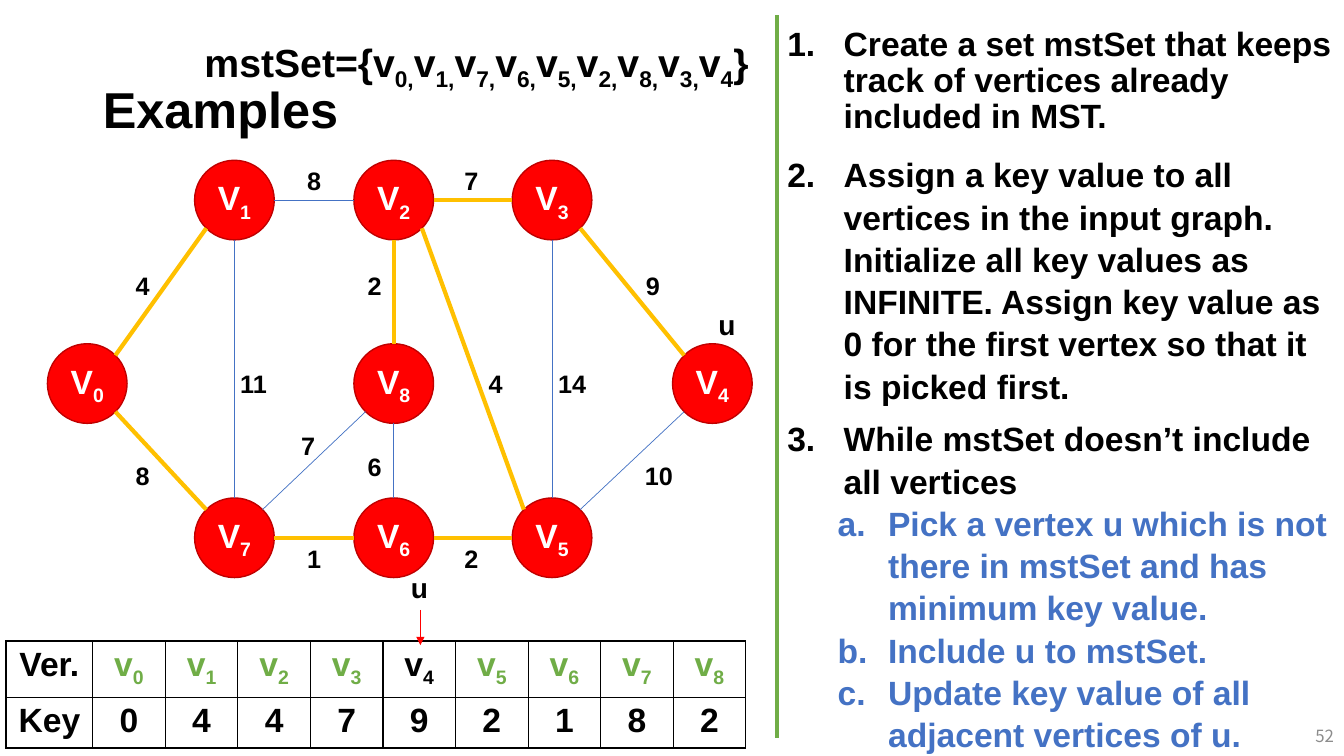
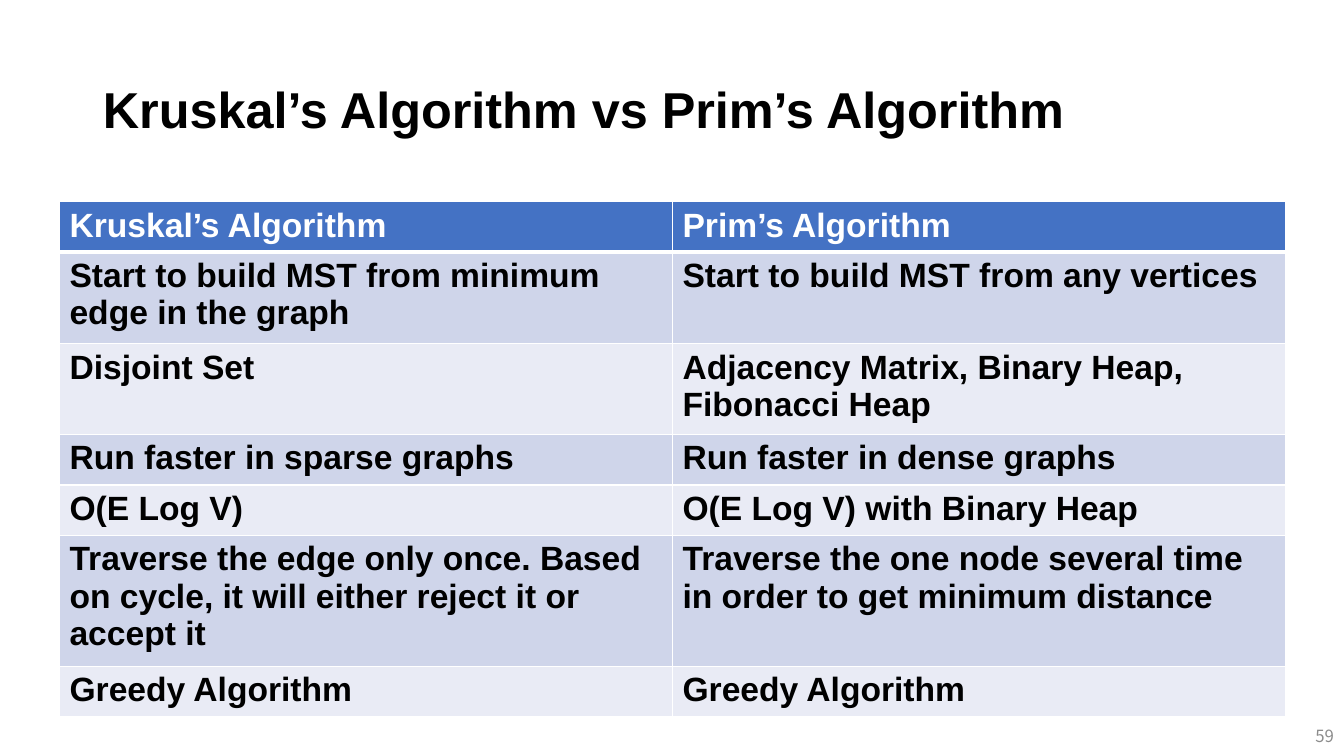
from math import atan2, cos, degrees, radians, sin

from lxml.etree import SubElement
from pptx import Presentation
from pptx.dml.color import RGBColor
from pptx.enum.shapes import MSO_CONNECTOR as Connector, MSO_SHAPE as Shape
from pptx.enum.text import MSO_ANCHOR as Anchor, PP_ALIGN as Align
from pptx.oxml.ns import qn
from pptx.util import Inches, Pt

BLACK = RGBColor(0x00, 0x00, 0x00)
WHITE = RGBColor(0xFF, 0xFF, 0xFF)
GREY = RGBColor(0x8C, 0x8C, 0x8C)
RED = RGBColor(0xFF, 0x00, 0x00)
DARK_RED = RGBColor(0xC0, 0x00, 0x00)
GOLD = RGBColor(0xFF, 0xC0, 0x00)
BLUE = RGBColor(0x44, 0x72, 0xC4)
GREEN = RGBColor(0x70, 0xAD, 0x47)
BAND_DARK = RGBColor(0xCF, 0xD5, 0xEA)
BAND_LIGHT = RGBColor(0xE9, 0xEB, 0xF5)

FONT = "Arial"
NUMBER_FONT = "Noto Sans CJK KR"
TITLE_ONLY = 5

NODE_SIZE = 0.79
NODES = [  # left, top of V0 to V8
    (0.47, 3.41), (1.93, 1.59), (3.51, 1.59), (5.08, 1.59), (6.67, 3.41),
    (5.08, 4.94), (3.51, 4.94), (1.93, 4.94), (3.51, 3.41),
]
EDGES = [  # start, end, weight, label left, label top, in the spanning tree
    (0, 1, 4, 1.15, 2.63, True),
    (0, 7, 8, 1.15, 4.52, True),
    (1, 2, 8, 2.85, 1.59, False),
    (1, 7, 11, 2.25, 3.6, False),
    (2, 3, 7, 4.41, 1.59, True),
    (2, 5, 4, 4.65, 3.6, True),
    (2, 8, 2, 3.45, 2.63, True),
    (3, 4, 9, 6.21, 2.63, True),
    (3, 5, 14, 5.41, 3.6, False),
    (4, 5, 10, 6.27, 4.52, False),
    (5, 6, 2, 4.41, 5.34, True),
    (6, 7, 1, 2.85, 5.34, True),
    (6, 8, 6, 3.45, 4.43, False),
    (7, 8, 7, 2.79, 4.22, False),
]
KEYS = [0, 4, 4, 7, 9, 2, 1, 8, 2]
CURRENT_VERTEX = 4
PICK_ORDER = [0, 1, 7, 6, 5, 2, 8, 3, 4]

STEP_CREATE = "Create a set mstSet that keeps track of vertices already included in MST."
STEP_ASSIGN = (
    "Assign a key value to all vertices in the input graph. Initialize all key values "
    "as INFINITE. Assign key value as 0 for the first vertex so that it is picked first."
)
STEP_LOOP = "While mstSet doesn’t include all vertices"
LOOP_STEPS = [
    "Pick a vertex u which is not there in mstSet and has minimum key value.",
    "Include u to mstSet.",
    "Update key value of all adjacent vertices of u.",
]

COMPARISON = [  # row height, Kruskal, Prim
    (0.5, "Kruskal’s Algorithm", "Prim’s Algorithm"),
    (0.91, "Start to build MST from minimum edge in the graph",
     "Start to build MST from any vertices"),
    (0.85, "Disjoint Set", "Adjacency Matrix, Binary Heap, Fibonacci Heap"),
    (0.5, "Run faster in sparse graphs", "Run faster in dense graphs"),
    (0.5, "O(E Log V)", "O(E Log V) with Binary Heap"),
    (1.22, "Traverse the edge only once. Based on cycle, it will either reject it or accept it",
     "Traverse the one node several time in order to get minimum distance"),
    (0.5, "Greedy Algorithm", "Greedy Algorithm"),
]


def write(paragraph, text, size=24, color=BLACK, bold=True, font=FONT,
          align=Align.LEFT, spacing=None):
    """Fill a paragraph; parts of the text between tildes become subscripts."""
    paragraph.alignment = align
    if spacing:
        paragraph.line_spacing = spacing
    for index, part in enumerate(text.split("~")):
        if not part:
            continue
        run = paragraph.add_run()
        run.text = part
        run.font.name = font
        run.font.size = Pt(size)
        run.font.bold = bold
        run.font.color.rgb = color
        if index % 2:
            run._r.get_or_add_rPr().set("baseline", "-25000")


def number(paragraph, scheme, margin, hanging, start=1):
    """Turn a paragraph into an item of an automatically numbered list."""
    properties = paragraph._p.get_or_add_pPr()
    properties.set("marL", str(Inches(margin)))
    properties.set("indent", str(-Inches(hanging)))
    SubElement(properties, qn("a:buFont"), typeface=FONT)
    SubElement(properties, qn("a:buAutoNum"), type=scheme, startAt=str(start))


def add_text_frame(slide, left, top, width, height):
    box = slide.shapes.add_textbox(Inches(left), Inches(top), Inches(width), Inches(height))
    box.text_frame.word_wrap = True
    return box.text_frame


def add_label(slide, text, left, top, width, height, **text_format):
    frame = add_text_frame(slide, left, top, width, height)
    write(frame.paragraphs[0], text, **text_format)
    return frame


def add_step(slide, text, start, top, height, spacing=1.05):
    frame = add_text_frame(slide, 7.71, top, 5.61, height)
    number(frame.paragraphs[0], "arabicPeriod", 0.56, 0.56, start)
    write(frame.paragraphs[0], text, spacing=spacing)
    return frame


def add_line(slide, start, end, color, width):
    points = [Inches(value) for value in (*start, *end)]
    line = slide.shapes.add_connector(Connector.STRAIGHT, *points)
    line.line.color.rgb = color
    line.line.width = Pt(width)
    SubElement(line._element.spPr, qn("a:effectLst"))
    return line


def add_arrow(slide, start, end, color, width):
    arrow = add_line(slide, start, end, color, width)
    SubElement(arrow.line._get_or_add_ln(), qn("a:tailEnd"), type="triangle")


def add_node(slide, index):
    left, top = NODES[index]
    node = slide.shapes.add_shape(
        Shape.OVAL, Inches(left), Inches(top), Inches(NODE_SIZE), Inches(NODE_SIZE))
    node.shadow.inherit = False
    node.fill.solid()
    node.fill.fore_color.rgb = RED
    node.line.color.rgb = DARK_RED
    node.line.width = Pt(1)
    frame = node.text_frame
    frame.word_wrap = False
    frame.vertical_anchor = Anchor.MIDDLE
    frame.margin_left = frame.margin_right = 0
    write(frame.paragraphs[0], f"V~{index}~", color=WHITE, align=Align.CENTER)
    return node


def site_point(index, site):
    """Point of a node's connection site: 0 is the top, then every 45° anticlockwise."""
    angle = radians(90 + 45 * site)
    radius = NODE_SIZE / 2
    left, top = NODES[index]
    return left + radius * (1 + cos(angle)), top + radius * (1 - sin(angle))


def add_edge(slide, nodes, start, end, in_tree):
    """Join two nodes at the connection sites that face each other."""
    (x1, y1), (x2, y2) = NODES[start], NODES[end]
    site = round((degrees(atan2(y1 - y2, x2 - x1)) - 90) / 45) % 8
    opposite = (site + 4) % 8
    color, width = (GOLD, 3) if in_tree else (BLUE, 0.5)
    edge = add_line(slide, site_point(start, site), site_point(end, opposite), color, width)
    joints = edge._element.find(f"{qn('p:nvCxnSpPr')}/{qn('p:cNvCxnSpPr')}")
    for tag, node, index in (("a:stCxn", start, site), ("a:endCxn", end, opposite)):
        SubElement(joints, qn(tag), id=str(nodes[node].shape_id), idx=str(index))


def add_table(slide, left, top, widths, heights):
    table = slide.shapes.add_table(
        len(heights), len(widths), Inches(left), Inches(top),
        Inches(sum(widths)), Inches(sum(heights))).table
    table.first_row = table.horz_banding = False
    for column, width in zip(table.columns, widths):
        column.width = Inches(width)
    for row, height in zip(table.rows, heights):
        row.height = Inches(height)
    return table


def fill_cell(cell, text, border, fill=None, top=1, bottom=1, **text_format):
    properties = cell._tc.get_or_add_tcPr()
    for side, width in (("L", 1), ("R", 1), ("T", top), ("B", bottom)):
        line = SubElement(properties, qn(f"a:ln{side}"), w=str(Pt(width)))
        SubElement(SubElement(line, qn("a:solidFill")), qn("a:srgbClr"), val=str(border))
    if fill is None:
        cell.fill.background()
    else:
        cell.fill.solid()
        cell.fill.fore_color.rgb = fill
    write(cell.text_frame.paragraphs[0], text, **text_format)


def add_slide(deck, title, page):
    slide = deck.slides.add_slide(deck.slide_layouts[TITLE_ONLY])
    heading = slide.shapes.title
    heading.left, heading.top = Inches(0.92), Inches(0.39)
    heading.width, heading.height = Inches(11.5), Inches(1.45)
    heading.text_frame.vertical_anchor = Anchor.MIDDLE
    write(heading.text_frame.paragraphs[0], title, size=36, spacing=0.9)
    footer = add_label(slide, str(page), 10.33, 7.1, 3, 0.4, size=12, color=GREY,
                       bold=False, font=NUMBER_FONT, align=Align.RIGHT)
    footer.vertical_anchor = Anchor.MIDDLE
    return slide


def add_graph(slide):
    nodes = [add_node(slide, index) for index in range(len(NODES))]
    for start, end, weight, left, top, in_tree in EDGES:
        add_edge(slide, nodes, start, end, in_tree)
        add_label(slide, str(weight), left, top, 0.53, 0.4, size=18, align=Align.CENTER)


def add_key_table(slide):
    table = add_table(slide, 0.06, 6.36, [0.86] + [0.72] * len(KEYS), [0.56, 0.5])
    columns = [("Ver.", "Key", BLACK)]
    for index, key in enumerate(KEYS):
        color = BLACK if index == CURRENT_VERTEX else GREEN
        columns.append((f"v~{index}~", str(key), color))
    for column, (vertex, key, color) in enumerate(columns):
        fill_cell(table.cell(0, column), vertex, BLACK, color=color, align=Align.CENTER)
        fill_cell(table.cell(1, column), key, BLACK, align=Align.CENTER)


def add_steps(slide):
    add_line(slide, (7.71, 0.15), (7.71, 7.32), GREEN, 3)
    add_step(slide, STEP_CREATE, 1, 0.22, 1.15, spacing=0.9)
    add_step(slide, STEP_ASSIGN, 2, 1.46, 2.52)
    loop = add_step(slide, STEP_LOOP, 3, 4.08, 3.33)
    for text in LOOP_STEPS:
        item = loop.add_paragraph()
        item.level = 1
        number(item, "alphaLcPeriod", 1, 0.5)
        write(item, text, color=BLUE, spacing=1.05)


def build_example(deck):
    slide = add_slide(deck, "Examples", 52)
    add_steps(slide)
    add_graph(slide)
    add_key_table(slide)
    picked = ",~".join(f"v~{index}" for index in PICK_ORDER)
    add_label(slide, f"mstSet={{{picked}~}}", 1.93, 0.33, 5.76, 0.57, size=28)
    for left, top in ((3.88, 5.61), (6.93, 3)):
        add_label(slide, "u", left, top, 0.56, 0.44, size=20, align=Align.CENTER)
    add_arrow(slide, (4.17, 6.05), (4.17, 6.4), RED, 0.5)


def build_comparison(deck):
    slide = add_slide(deck, "Kruskal’s Algorithm vs Prim’s Algorithm", 59)
    table = add_table(slide, 0.59, 2, [6.08] * 2, [row[0] for row in COMPARISON])
    for row, (_, *texts) in enumerate(COMPARISON):
        band = BAND_DARK if row % 2 else BAND_LIGHT
        for column, text in enumerate(texts):
            fill_cell(table.cell(row, column), text, WHITE,
                      fill=band if row else BLUE,
                      color=BLACK if row else WHITE,
                      top=3 if row == 1 else 1,
                      bottom=1 if row else 3)


def main():
    deck = Presentation()
    deck.slide_width, deck.slide_height = Inches(13.33), Inches(7.5)
    build_example(deck)
    build_comparison(deck)
    deck.save("out.pptx")


if __name__ == "__main__":
    main()
